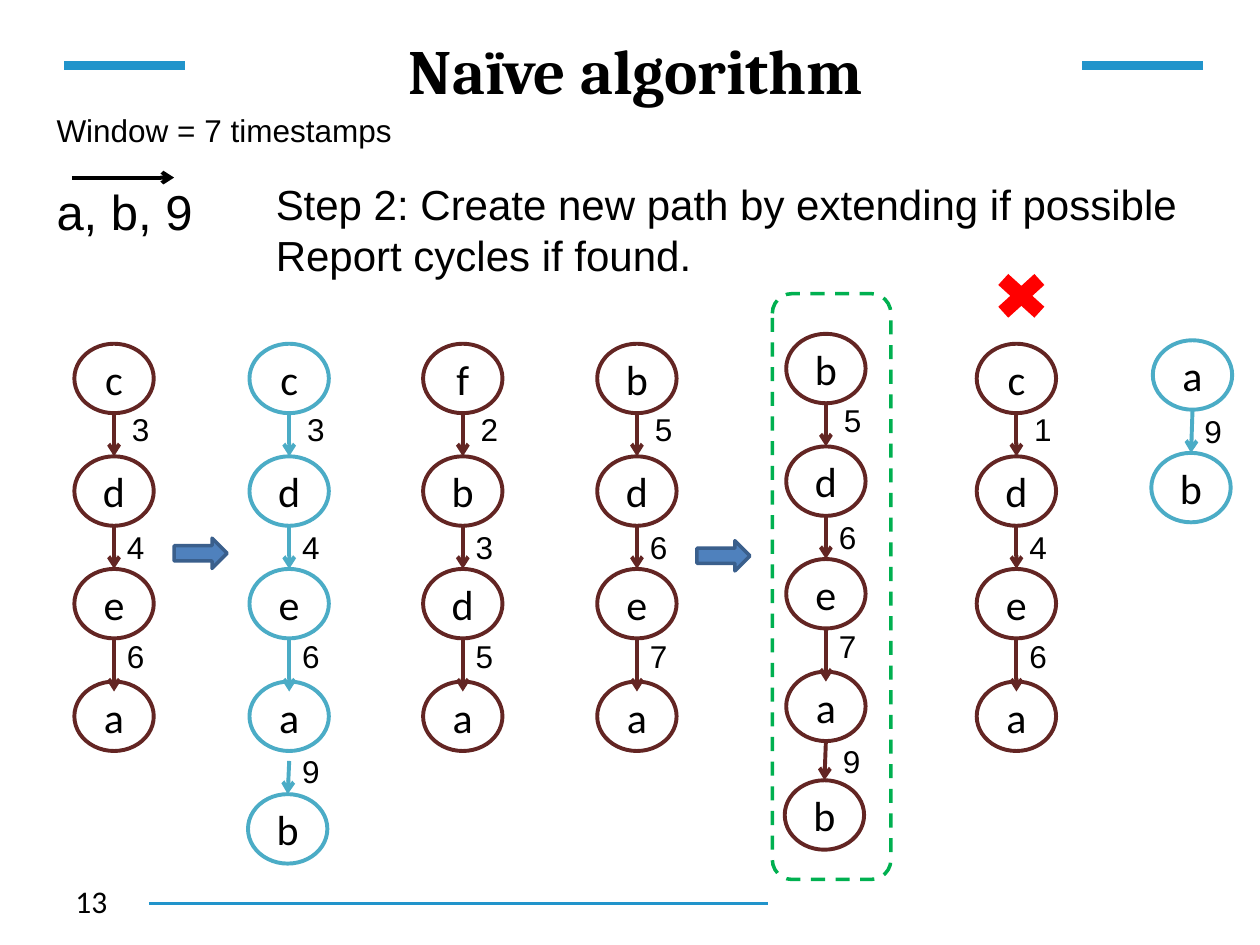
import lxml.etree
import pptx
import pptx.dml.color
import pptx.enum.dml
import pptx.enum.shapes
import pptx.enum.text
import pptx.oxml.ns
import pptx.util

Cm = pptx.util.Cm
Pt = pptx.util.Pt
RGB = pptx.dml.color.RGBColor
Shape = pptx.enum.shapes.MSO_SHAPE
Align = pptx.enum.text.PP_ALIGN
Anchor = pptx.enum.text.MSO_ANCHOR

BLACK = RGB(0x00, 0x00, 0x00)
ACCENT = RGB(0x21, 0x94, 0xCB)
MAROON = RGB(0x63, 0x25, 0x23)
TEAL = RGB(0x4B, 0xAC, 0xC6)
GREEN = RGB(0x00, 0xB0, 0x50)
RED = RGB(0xFF, 0x00, 0x00)
BLUE = RGB(0x4F, 0x81, 0xBD)
NAVY = RGB(0x3A, 0x5F, 0x8C)

TITLE = "Naïve algorithm"
TEXTS = [
    (["13"], 1.27, 17.65, 5.92, 1.02, "Calibri", 18),
    (["a, b, 9"], 0.89, 3.53, 3.28, 1.45, "Arial", 28),
    (["Window = 7 timestamps"], 0.89, 2.11, 7.34, 1.02, "Arial", 18),
    (["Step 2: Create new path by extending if possible", "Report cycles if found."],
     5.31, 3.48, 18.87, 2.31, "Arial", 24),
]
RULES = [(1.3, 3.73, 1.32, 5), (21.82, 24.26, 1.32, 5), (3, 15.49, 18.21, 1.5)]

NODE_WIDTH, NODE_HEIGHT, PITCH = 1.6, 1.4, 2.27
# Each link: gap above, overlap below, label offset x and y, node shift x and y.
LINKS = [
    (0, 0, 0.91, 1.22, 0, 0),
    (0, 0, 0.81, 3.58, 0, 0),
    (0, 0.2, 0.81, 5.79, 0, 0),
]
PATHS = [
    (1.5, 6.93, MAROON, "cdea", "346", LINKS),
    (5.03, 6.93, TEAL, "cdeab", "3469", LINKS + [(0.2, 0, 0.81, 8.1, -0.03, 0)]),
    (8.53, 6.93, MAROON, "fbda", "235", LINKS),
    (12.04, 6.93, MAROON, "bdea", "567", LINKS),
    (15.85, 6.73, MAROON, "bdeab", "5679", LINKS + [(0, 0, 0.89, 8.1, -0.03, -0.08)]),
    (19.69, 6.93, MAROON, "cdea", "146", LINKS),
    (23.24, 6.86, TEAL, "ab", "9", [(0, 0, 0.79, 1.32, -0.03, 0)]),
]
MARKS = [
    (Shape.ROUNDED_RECTANGLE, 15.57, 5.92, 2.39, 11.81, None, GREEN),
    (Shape.MATH_MULTIPLY, 19.89, 5.33, 1.4, 1.27, RED, None),
    (Shape.RIGHT_ARROW, 3.51, 10.85, 1.07, 0.61, BLUE, NAVY),
    (Shape.RIGHT_ARROW, 14.05, 10.9, 1.07, 0.61, BLUE, NAVY),
]


def style(para, font, size, bold=False):
    para.font.name = font
    para.font.size = Pt(size)
    para.font.bold = bold
    para.font.color.rgb = BLACK


def add_text(shapes, lines, left, top, width, height, font, size):
    box = shapes.add_textbox(Cm(left), Cm(top), Cm(width), Cm(height))
    frame = box.text_frame
    frame.word_wrap = False
    frame.auto_size = pptx.enum.text.MSO_AUTO_SIZE.SHAPE_TO_FIT_TEXT
    frame.text = "\n".join(lines)
    for para in frame.paragraphs:
        style(para, font, size)


def add_line(shapes, start, end, color, width, arrow=False):
    line = shapes.add_connector(
        pptx.enum.shapes.MSO_CONNECTOR.STRAIGHT, *(Cm(value) for value in start + end))
    line.line.color.rgb = color
    line.line.width = Pt(width)
    if arrow:
        head = lxml.etree.SubElement(
            line.line._get_or_add_ln(), pptx.oxml.ns.qn("a:tailEnd"))
        head.set("type", "arrow")
    lxml.etree.SubElement(line._element.spPr, pptx.oxml.ns.qn("a:effectLst"))


def add_shape(shapes, kind, left, top, width, height, fill, color, weight=2):
    shape = shapes.add_shape(kind, Cm(left), Cm(top), Cm(width), Cm(height))
    shape.shadow.inherit = False
    if fill is None:
        shape.fill.background()
    else:
        shape.fill.solid()
        shape.fill.fore_color.rgb = fill
    if color is None:
        shape.line.fill.background()
    else:
        shape.line.color.rgb = color
        shape.line.width = Pt(weight)
    return shape


def add_path(page, left, top, color, nodes, labels, links):
    shapes = page.shapes.add_group_shape().shapes
    places = [(left, top)]
    for index, link in enumerate(links, 1):
        places.append((left + link[4], top + index * PITCH + link[5]))
    for name, (x, y) in zip(nodes, places):
        node = add_shape(shapes, Shape.OVAL, x, y, NODE_WIDTH, NODE_HEIGHT, None, color, 2.25)
        frame = node.text_frame
        frame.text = name
        frame.vertical_anchor = Anchor.MIDDLE
        frame.paragraphs[0].alignment = Align.CENTER
        style(frame.paragraphs[0], "Calibri", 24)
    for label, link, (x, y), (next_x, next_y) in zip(labels, links, places, places[1:]):
        gap, overlap, label_x, label_y = link[:4]
        add_line(shapes, (x + NODE_WIDTH / 2, y + NODE_HEIGHT + gap),
                 (next_x + NODE_WIDTH / 2, next_y + overlap), color, 2.25, True)
        add_text(shapes, [label], left + label_x, top + label_y, 0.86, 1.02, "Arial", 18)


def main():
    deck = pptx.Presentation()
    deck.slide_width, deck.slide_height = Cm(25.4), Cm(19.05)
    page = deck.slides.add_slide(deck.slide_layouts[5])

    title = page.shapes.title
    title.left, title.top, title.width, title.height = Cm(3.91), Cm(0.33), Cm(17.81), Cm(2.13)
    title.text_frame.text = TITLE
    title.text_frame.vertical_anchor = Anchor.MIDDLE
    title.text_frame.paragraphs[0].alignment = Align.CENTER
    style(title.text_frame.paragraphs[0], "Cambria", 36, True)

    for start, end, y, width in RULES:
        add_line(page.shapes, (start, y), (end, y), ACCENT, width)
    for text in TEXTS:
        add_text(page.shapes, *text)
    add_line(page.shapes, (1.45, 3.58), (3.51, 3.58), BLACK, 2.25, True)
    for mark in MARKS:
        shape = add_shape(page.shapes, *mark)
        if mark[0] == Shape.ROUNDED_RECTANGLE:
            shape.line.dash_style = pptx.enum.dml.MSO_LINE.DASH
    for path in PATHS:
        add_path(page, *path)

    deck.save("out.pptx")


if __name__ == "__main__":
    main()
